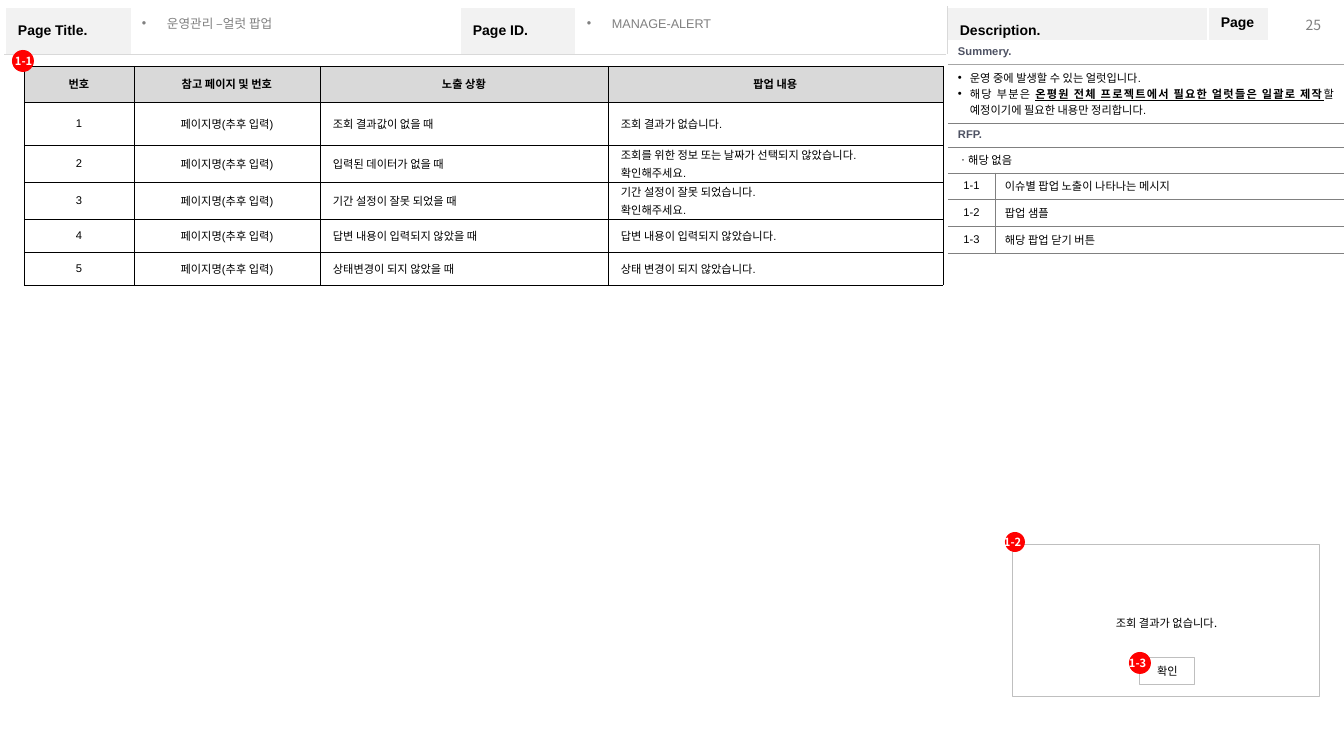
from pptx import Presentation
from pptx.dml.color import RGBColor
from pptx.enum.shapes import MSO_SHAPE
from pptx.enum.text import MSO_ANCHOR, PP_ALIGN
from pptx.oxml.ns import qn
from pptx.util import Pt
from lxml.etree import SubElement

# Content
HEADS = ["Page Title.", "", "Page ID.", "", "Description.", "Page.", ""]
FIELDS = [("운영관리 –얼럿 팝업", 132, 327), ("MANAGE-ALERT", 577, 367)]
NUMBER = "25"
SUMMARY = [
    ["운영 중에 발생할 수 있는 얼럿입니다."],
    ["해당 부분은 ", ("온평원 전체 프로젝트에서 필요한 얼럿들은 일괄로 제작",),
     "할 예정이기에 필요한 내용만 정리합니다."],
]
NOTES = [("1-1", "이슈별 팝업 노출이 나타나는 메시지"), ("1-2", "팝업 샘플"),
         ("1-3", "해당 팝업 닫기 버튼")]
TITLES = ["번호", "참고 페이지 및 번호", "노출 상황", "팝업 내용"]
REF = "페이지명(추후 입력)"
ALERTS = [
    ("조회 결과값이 없을 때", ["조회 결과가 없습니다."]),
    ("입력된 데이터가 없을 때",
     ["조회를 위한 정보 또는 날짜가 선택되지 않았습니다.", "확인해주세요."]),
    ("기간 설정이 잘못 되었을 때", ["기간 설정이 잘못 되었습니다.", "확인해주세요."]),
    ("답변 내용이 입력되지 않았을 때", ["답변 내용이 입력되지 않았습니다."]),
    ("상태변경이 되지 않았을 때", ["상태 변경이 되지 않았습니다."]),
]
POPUP = [("조회 결과가 없습니다.", (1013, 545, 307, 152), 1.3),
         ("확인", (1140, 658, 55, 27), 1)]
# Badge label, circle left, top and size, label left
BADGES = [("1-1", 12, 50, 22, 15), ("1-2", 1005, 532, 20, 1004),
          ("1-3", 1129, 652, 22, 1129)]

COLORS = {"black": "000000", "white": "FFFFFF", "pale": "F2F2F2", "rule": "D9D9D9",
          "grey": "808080", "mid": "A6A6A6", "edge": "BFBFBF", "slate": "4E5263",
          "page": "7F7F7F", "red": "FF0000"}
SANS, NOTO = "Arial", "Noto Sans CJK KR"
LEFT, MID, RIGHT, JUST = (PP_ALIGN.LEFT, PP_ALIGN.CENTER, PP_ALIGN.RIGHT,
                          PP_ALIGN.JUSTIFY)
PLAIN = "{2D5ABB26-0587-4C30-8999-92F81FD0307C}"
SCALE = 914400 / 100.8


def px(n):
    return round(n * SCALE)


def rgb(name):
    return RGBColor.from_string(COLORS[name])


def write(frame, paras, size=8, color="black", bold=False, font=SANS,
          align=LEFT, bullet=0, gap=0, line=None):
    """Fill a text frame; a run given as a tuple is bold and underlined."""
    for i, runs in enumerate(paras):
        par = frame.paragraphs[0] if i == 0 else frame.add_paragraph()
        if bullet:
            prop = par._p.get_or_add_pPr()
            prop.set("marL", str(px(bullet)))
            prop.set("indent", str(-px(bullet)))
            SubElement(prop, qn("a:buFont"), typeface=SANS)
            SubElement(prop, qn("a:buChar"), char="•")
        par.alignment = align
        if i and gap:
            par.space_before = Pt(gap)
        if line:
            par.line_spacing = line
        look = par.font
        look.size, look.bold, look.name = Pt(size), bold, font
        look.color.rgb = rgb(color)
        for item in [runs] if isinstance(runs, str) else runs:
            run = par.add_run()
            run.text = item if isinstance(item, str) else item[0]
            if not isinstance(item, str):
                run.font.bold = run.font.underline = True


def inset(box, x, y):
    box.margin_left = box.margin_right = px(x)
    box.margin_top = box.margin_bottom = px(y)


def label(slide, text, place, pad, **style):
    frame = slide.shapes.add_textbox(*map(px, place)).text_frame
    frame.word_wrap = True
    frame.vertical_anchor = MSO_ANCHOR.MIDDLE
    inset(frame, *pad)
    write(frame, [text], **style)


def shape(slide, kind, place, fill, line=None):
    item = slide.shapes.add_shape(kind, *map(px, place))
    item.shadow.inherit = False
    item.fill.solid()
    item.fill.fore_color.rgb = rgb(fill)
    if line:
        item.line.color.rgb = rgb(line)
        item.line.width = Pt(0.75)
    else:
        item.line.fill.background()
    return item


def grid(slide, x, y, cols, rows, pad):
    item = slide.shapes.add_table(len(rows), len(cols), px(x), px(y),
                                  px(sum(cols)), px(sum(rows)))
    table = item.table
    table.first_row = table.horz_banding = False
    table._tbl.tblPr.find(qn("a:tableStyleId")).text = PLAIN
    for part, size in zip(table.columns, cols):
        part.width = px(size)
    for part, size in zip(table.rows, rows):
        part.height = px(size)
    for cell in table.iter_cells():
        cell.vertical_anchor = MSO_ANCHOR.MIDDLE
        inset(cell, *pad)
    return table


def paint(cell, fill=None, **sides):
    """Set a cell's fill and its borders, keyed L, R, T and B."""
    if fill:
        cell.fill.solid()
        cell.fill.fore_color.rgb = rgb(fill)
    else:
        cell.fill.background()
    prop = cell._tc.get_or_add_tcPr()
    for i, side in enumerate(s for s in "LRTB" if s in sides):
        color = sides[side]
        width = Pt(1 if color == "white" else 0.25)
        line = SubElement(prop, qn("a:ln" + side), w=str(width))
        body = SubElement(line, qn("a:solidFill"))
        SubElement(body, qn("a:srgbClr"), val=COLORS[color])
        prop.insert(i, line)


def frame_page(slide):
    table = grid(slide, 5, 7, [127, 328, 116, 371, 261, 61, 69], [47, 671], (13, 7))
    for i, text in enumerate(HEADS):
        cell = table.cell(0, i)
        paint(cell, "pale" if text else None, T="white", B="rule",
              L="rule" if i == 4 else "white", R="rule" if i == 3 else "white")
        if text:
            write(cell.text_frame, [text], size=10, bold=True)
    table.cell(1, 0).merge(table.cell(1, 3))
    table.cell(1, 4).merge(table.cell(1, 6))
    for i in range(7):
        paint(table.cell(1, i), T="rule", B="white",
              L="rule" if i == 4 else "white", R="rule" if i == 3 else "white")
    label(slide, NUMBER, (1271, 10, 60, 30), (10, 5), size=10, color="page",
          font=NOTO, align=RIGHT)
    for text, x, wide in FIELDS:
        label(slide, text, (x, 12, wide, 24), (10, 5), size=9, color="grey",
              bullet=25, line=0.9)


def describe(slide):
    table = grid(slide, 948, 40, [47, 349], [24, 59, 24, 26, 26, 27, 27], (10, 5))
    head = dict(color="slate", bold=True)
    tops = [(["Summery."], head), (SUMMARY, dict(align=JUST, bullet=12)),
            (["RFP."], head), (["ㆍ해당 없음"], {})]
    for r, (paras, style) in enumerate(tops):
        table.cell(r, 0).merge(table.cell(r, 1))
        write(table.cell(r, 0).text_frame, paras, **style)
        sides = {"B": "grey" if r else "mid"}
        if r:
            sides["T"] = "mid" if r == 1 else "grey"
        for c in range(2):
            paint(table.cell(r, c), None if r else "white", **sides)
    for r, (mark, text) in enumerate(NOTES, len(tops)):
        write(table.cell(r, 0).text_frame, [mark], align=MID)
        write(table.cell(r, 1).text_frame, [text], align=JUST)
        paint(table.cell(r, 0), T="grey", B="grey", R="grey")
        paint(table.cell(r, 1), T="grey", B="grey", L="grey")


def list_alerts(slide):
    table = grid(slide, 24, 66, [110, 186, 288, 335], [36, 43, 37, 37, 33, 33], (13, 1))
    body = [[[str(n)], [REF], [case], lines]
            for n, (case, lines) in enumerate(ALERTS, 1)]
    for r, row in enumerate([[[t] for t in TITLES]] + body):
        for c, paras in enumerate(row):
            cell = table.cell(r, c)
            paint(cell, "white" if r else "rule", **dict.fromkeys("LRTB", "black"))
            write(cell.text_frame, paras, bold=r == 0, gap=1.6,
                  align=JUST if r and c > 1 else MID)


def draw_popup(slide):
    for text, place, line in POPUP:
        box = shape(slide, MSO_SHAPE.RECTANGLE, place, "white", "edge")
        box.text_frame.vertical_anchor = MSO_ANCHOR.MIDDLE
        write(box.text_frame, [text], font=NOTO, align=MID, line=line)
    for text, x, y, size, left in BADGES:
        shape(slide, MSO_SHAPE.OVAL, (x, y, size, size), "red")
        label(slide, text, (left, y - 2, 25, size + 4), (0, 5), color="white",
              bold=True, font=NOTO)


def main():
    deck = Presentation()
    deck.slide_width, deck.slide_height = px(1344), px(756)
    slide = deck.slides.add_slide(deck.slide_layouts[6])
    for step in (frame_page, describe, list_alerts, draw_popup):
        step(slide)
    deck.save("out.pptx")


if __name__ == "__main__":
    main()
